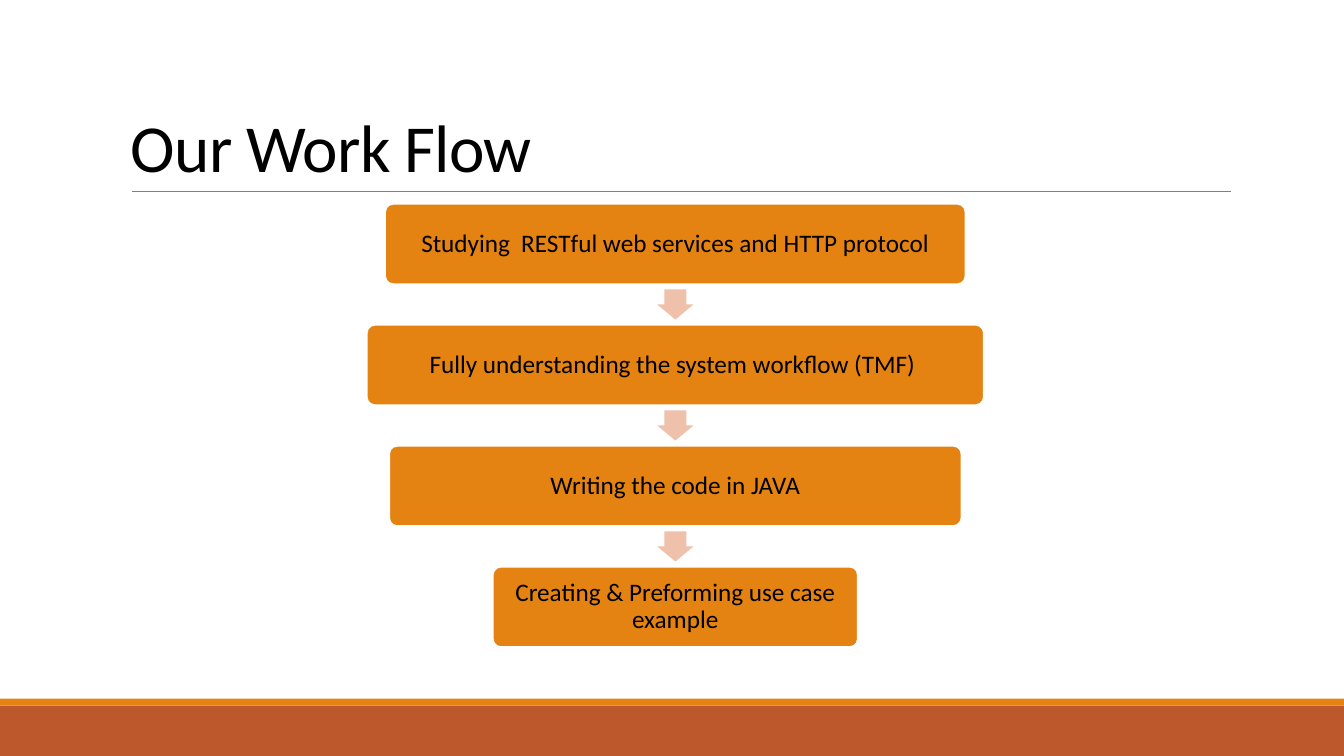
import pptx
import pptx.util
import pptx.dml.color
import pptx.enum.shapes
import pptx.enum.text
import pptx.oxml

Pt = pptx.util.Pt
SHAPES = pptx.enum.shapes.MSO_SHAPE
ANCHOR = pptx.enum.text.MSO_ANCHOR
ALIGN = pptx.enum.text.PP_ALIGN

HEADING = "Our Work Flow"
STEPS = [
    ("Studying  RESTful web services and HTTP protocol", 414.6),
    ("Fully understanding the system workflow (TMF) ", 440.8),
    ("Writing the code in JAVA", 408.8),
    ("Creating & Preforming use case example", 260.8),
]
THEME = {
    "font": "Calibri",
    "heading_size": 48,
    "step_size": 18,
    "text": "000000",
    "step": "E48312",
    "step_edge": "FFFFFF",
    "arrow": "EFC1AB",
    "rule": "808080",
    "footer": "BD582C",
    "footer_edge": "E48312",
}
SLIDE_WIDTH, SLIDE_HEIGHT = 960, 540
FLOW_CENTER, FLOW_TOP = 482.4, 145.6
STEP_HEIGHT, STEP_PITCH = 57.4, 86.4
ARROW_LENGTH, ARROW_BREADTH = 21.6, 25.9
FOOTER_TOP, FOOTER_EDGE_TOP, FOOTER_EDGE_HEIGHT = 504, 499, 5

HEADING_FRAME = {"word_wrap": True, "vertical_anchor": ANCHOR.BOTTOM}
STEP_FRAME = {"word_wrap": True, "vertical_anchor": ANCHOR.MIDDLE}
STEP_FRAME.update({f"margin_{side}": Pt(6.8) for side in ("left", "top", "right", "bottom")})
HEADING_PARAGRAPH = {"alignment": ALIGN.LEFT, "line_spacing": 0.85}
STEP_PARAGRAPH = {"alignment": ALIGN.CENTER, "line_spacing": 0.9}


def color(name):
    return pptx.dml.color.RGBColor.from_string(THEME[name])


def apply(target, values):
    for name, value in values.items():
        setattr(target, name, value)


def add_block(slide, kind, box, fill, edge=None):
    block = slide.shapes.add_shape(kind, *map(Pt, box))
    block.shadow.inherit = False
    block.fill.solid()
    block.fill.fore_color.rgb = color(fill)
    if edge:
        block.line.color.rgb = color(edge)
        block.line.width = Pt(1.25)
    else:
        block.line.fill.background()
    return block


def write(holder, wording, size, frame_format, paragraph_format):
    frame = holder.text_frame
    apply(frame, frame_format)
    paragraph = frame.paragraphs[0]
    apply(paragraph, paragraph_format)
    run = paragraph.add_run()
    run.text = wording
    apply(run.font, {"name": THEME["font"], "size": Pt(THEME[size])})
    run.font.color.rgb = color("text")
    return run


def add_heading(slide):
    rule = slide.shapes.add_connector(
        pptx.enum.shapes.MSO_CONNECTOR.STRAIGHT, Pt(94.3), Pt(136.8), Pt(879), Pt(136.8))
    rule.line.color.rgb = color("rule")
    rule.line.width = Pt(0.5)
    properties = rule._element.spPr
    properties.append(properties.makeelement(pptx.oxml.ns.qn("a:effectLst"), {}))
    heading = slide.shapes.add_textbox(Pt(86.4), Pt(22.5), Pt(792), Pt(114.2))
    run = write(heading, HEADING, "heading_size", HEADING_FRAME, HEADING_PARAGRAPH)
    run.font._element.set("spc", "-50")


def add_flow(slide):
    gap = STEP_PITCH - STEP_HEIGHT
    for index, (wording, width) in enumerate(STEPS):
        top = FLOW_TOP + index * STEP_PITCH
        if index:
            arrow_box = (FLOW_CENTER - ARROW_LENGTH / 2, top - (gap + ARROW_BREADTH) / 2,
                         ARROW_LENGTH, ARROW_BREADTH)
            arrow = add_block(slide, SHAPES.RIGHT_ARROW, arrow_box, "arrow")
            arrow.rotation = 90
            arrow.adjustments[0] = 0.6
            arrow.adjustments[1] = 0.5
        step_box = (FLOW_CENTER - width / 2, top, width, STEP_HEIGHT)
        step = add_block(slide, SHAPES.ROUNDED_RECTANGLE, step_box, "step", "step_edge")
        step.adjustments[0] = 0.1
        write(step, wording, "step_size", STEP_FRAME, STEP_PARAGRAPH)


def main():
    deck = pptx.Presentation()
    apply(deck, {"slide_width": Pt(SLIDE_WIDTH), "slide_height": Pt(SLIDE_HEIGHT)})
    slide = deck.slides.add_slide(deck.slide_layouts[6])
    add_block(slide, SHAPES.RECTANGLE,
              (0, FOOTER_TOP, SLIDE_WIDTH, SLIDE_HEIGHT - FOOTER_TOP), "footer")
    add_block(slide, SHAPES.RECTANGLE,
              (0, FOOTER_EDGE_TOP, SLIDE_WIDTH, FOOTER_EDGE_HEIGHT), "footer_edge")
    add_heading(slide)
    add_flow(slide)
    deck.save("out.pptx")


if __name__ == "__main__":
    main()
